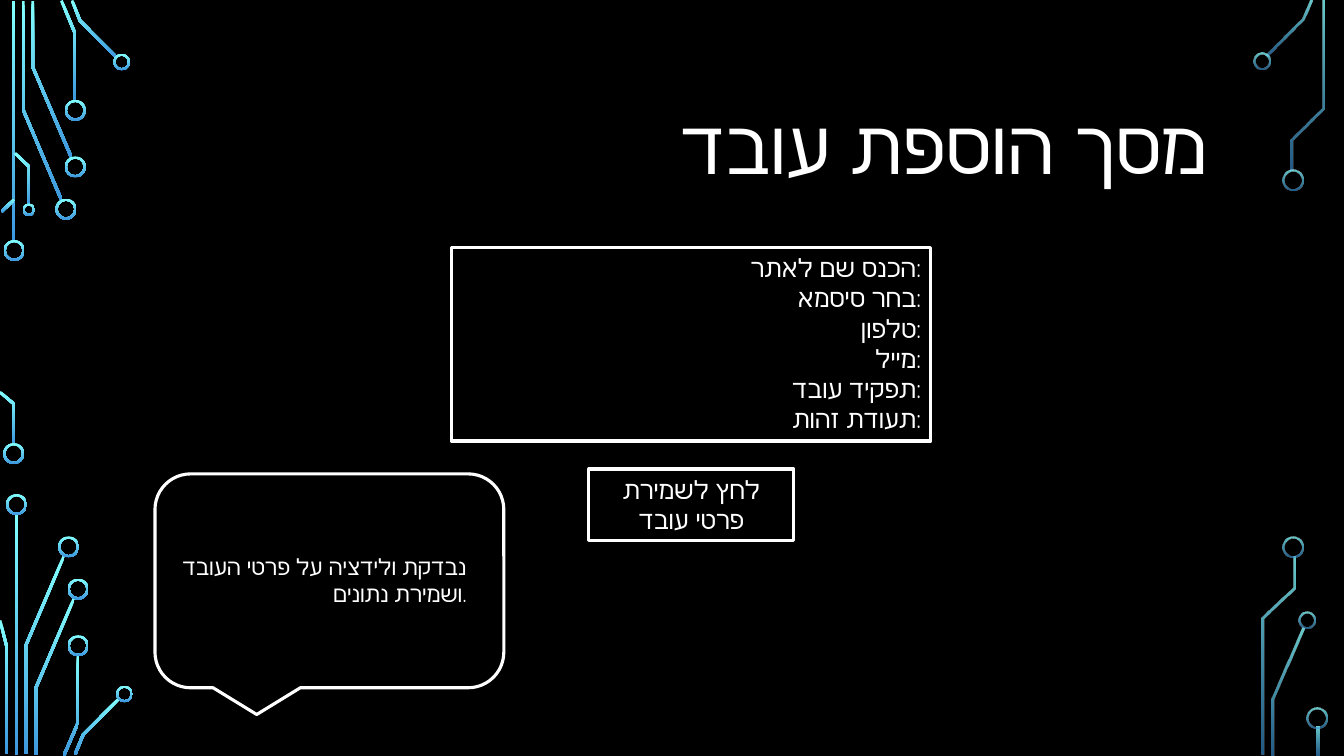
import math
import pptx
import pptx.dml.color
import pptx.enum.dml
import pptx.enum.shapes
import pptx.enum.text
import pptx.oxml
import pptx.oxml.ns
import pptx.util

Pt = pptx.util.Pt
SHAPE = pptx.enum.shapes.MSO_SHAPE
ALIGN = pptx.enum.text.PP_ALIGN
ANCHOR = pptx.enum.text.MSO_ANCHOR

FONT, WHITE, BLACK = "Quicksand", "FFFFFF", "000000"
GLOW = ("82FFFF", "3D97DE")
TRACE_WIDTH, RING_WIDTH = 2, 1.5

TITLE = "מסך הוספת עובד"
FORM_FIELDS = ["הכנס שם לאתר:", "בחר סיסמא:", "טלפון:", "מייל:", "תפקיד עובד:", "תעודת זהות:"]
SAVE_BUTTON = "לחץ לשמירת פרטי עובד"
VALIDATION_NOTE = "נבדקת ולידציה על פרטי העובד ושמירת נתונים."

CIRCUITS = [
    {
        "alphas": (100, 100),
        "stems": [(8.6, 0.5, 172.3), (10.8, 367.2, 172.1)],
        "traces": [
            [(16.6, 0.7), (16.6, 78.5), (43.9, 142.9)],
            [(23.4, 0.7), (23.4, 47.9), (51.1, 112.7)],
            [(43.9, 0.4), (53.6, 23.8), (53.6, 72)],
            [(51.5, 0.4), (57.2, 14.8), (83.2, 41)],
            [(10.1, 142.6), (1.1, 151.2)],
            [(0, 280.1), (10.1, 288.7), (10.1, 317.5)],
            [(10.8, 109.4), (20.9, 119.2), (20.9, 146.2)],
            [(18.4, 538.6), (18.4, 461.2), (45.7, 397.1)],
            [(0, 443.2), (4.7, 461.5), (4.7, 538.6)],
            [(25.6, 539.3), (25.6, 491.4), (52.9, 427.3)],
            [(45.7, 539.6), (55.8, 516.2), (55.8, 468)],
            [(53.6, 538.9), (59.4, 524.9), (85, 499)],
        ],
        "rings": [
            (10.1, 178.9, 15), (9.8, 324, 15), (47.1, 149.4, 15), (53.8, 119.2, 15),
            (53.8, 78.8, 15), (86.9, 44.3, 12), (20.6, 149.8, 9), (11.8, 360.4, 15),
            (49, 390.6, 15), (55.8, 420.8, 15), (55.8, 461.2, 15), (88.9, 495.7, 12),
        ],
    },
    {
        "alphas": (80, 60),
        "stems": [(940.3, 519.1, 20.2)],
        "traces": [
            [(936.4, 0.4), (930.6, 14), (905, 40)],
            [(909, 539.3), (909, 499.3), (931, 448.9)],
            [(945, 0.7), (945, 77.4), (923, 99.7), (923, 121.7)],
            [(901.8, 539.3), (901.8, 441.7), (924.1, 420.1), (924.1, 397.4)],
        ],
        "rings": [
            (901.2, 43.6, 12), (923.4, 128.5, 15), (933.5, 443.2, 12),
            (923.8, 390.6, 15), (940.7, 512.6, 15),
        ],
    },
]


def color(hex_string):
    return pptx.dml.color.RGBColor.from_string(hex_string)


def glow(shape, alphas):
    shape.shadow.inherit = False
    shape.line.fill.background()
    shape.fill.gradient()
    shape.fill.gradient_angle = 270
    for stop, tone, alpha in zip(shape.fill.gradient_stops, GLOW, alphas):
        stop.color.rgb = color(tone)
    for tone, alpha in zip(shape._element.spPr.iter(pptx.oxml.ns.qn("a:srgbClr")), alphas):
        if alpha < 100:
            opacity = pptx.oxml.parse_xml(f'<a:alpha {pptx.oxml.ns.nsdecls("a")} val="{alpha * 1000}"/>')
            tone.append(opacity)


def ribbon(trace):
    normals = []
    for (x1, y1), (x2, y2) in zip(trace, trace[1:]):
        length = math.hypot(x2 - x1, y2 - y1)
        normals.append(((y1 - y2) / length, (x2 - x1) / length))
    near, far = [], []
    for (x, y), (ax, ay), (bx, by) in zip(trace, normals[:1] + normals, normals + normals[-1:]):
        reach = TRACE_WIDTH / 2 / (1 + ax * bx + ay * by)
        dx, dy = (ax + bx) * reach, (ay + by) * reach
        near.append((Pt(x + dx), Pt(y + dy)))
        far.append((Pt(x - dx), Pt(y - dy)))
    return near + far[::-1]


def draw_circuit(circuit):
    group = slide.shapes.add_group_shape().shapes
    for x, y, height in circuit["stems"]:
        stem = group.add_shape(SHAPE.RECTANGLE, Pt(x), Pt(y), Pt(TRACE_WIDTH), Pt(height))
        glow(stem, circuit["alphas"])
    for trace in circuit["traces"]:
        start, *rest = ribbon(trace)
        outline = group.build_freeform(*start)
        outline.add_line_segments(rest, close=True)
        glow(outline.convert_to_shape(), circuit["alphas"])
    for x, y, size in circuit["rings"]:
        ring = group.add_shape(SHAPE.DONUT, Pt(x - size / 2), Pt(y - size / 2), Pt(size), Pt(size))
        ring.adjustments[0] = RING_WIDTH / size
        glow(ring, circuit["alphas"])


def outlined(kind, left, top, width, height):
    shape = slide.shapes.add_shape(kind, Pt(left), Pt(top), Pt(width), Pt(height))
    shape.shadow.inherit = False
    shape.fill.background()
    shape.line.color.rgb = color(WHITE)
    shape.line.width = Pt(2.25)
    return shape


def write(shape, text, size=18, align=ALIGN.RIGHT, anchor=ANCHOR.TOP, rtl=False, spacing=None):
    frame = shape.text_frame
    frame.word_wrap = True
    frame.vertical_anchor = anchor
    frame.text = text
    for paragraph in frame.paragraphs:
        paragraph.alignment = align
        paragraph.line_spacing = spacing
        if rtl:
            paragraph._p.get_or_add_pPr().set("rtl", "1")
        for run in paragraph.runs:
            run.font.name = FONT
            run.font.size = Pt(size)
            run.font.color.rgb = color(WHITE)
            script_font = pptx.oxml.parse_xml(f'<a:cs {pptx.oxml.ns.nsdecls("a")} typeface="{FONT}"/>')
            run._r.get_or_add_rPr().append(script_font)


deck = pptx.Presentation()
deck.slide_width, deck.slide_height = Pt(960), Pt(540)
slide = deck.slides.add_slide(deck.slide_layouts[6])
slide.background.fill.solid()
slide.background.fill.fore_color.rgb = color(BLACK)

for circuit in CIRCUITS:
    draw_circuit(circuit)

title = slide.shapes.add_textbox(Pt(90), Pt(49), Pt(780), Pt(116.6))
write(title, TITLE, size=54, anchor=ANCHOR.MIDDLE, rtl=True, spacing=0.9)

form = outlined(SHAPE.RECTANGLE, 322.4, 176.8, 342.6, 138.2)
write(form, "\n".join(FORM_FIELDS))

outlined(SHAPE.ROUNDED_RECTANGULAR_CALLOUT, 110.7, 338.5, 249.2, 152.8)
note = slide.shapes.add_textbox(Pt(91.4), Pt(391.7), Pt(249.1), Pt(46))
write(note, VALIDATION_NOTE, size=16)

save_button = outlined(SHAPE.RECTANGLE, 420.6, 335, 146.4, 51)
write(save_button, SAVE_BUTTON, align=ALIGN.CENTER)

deck.save("out.pptx")
